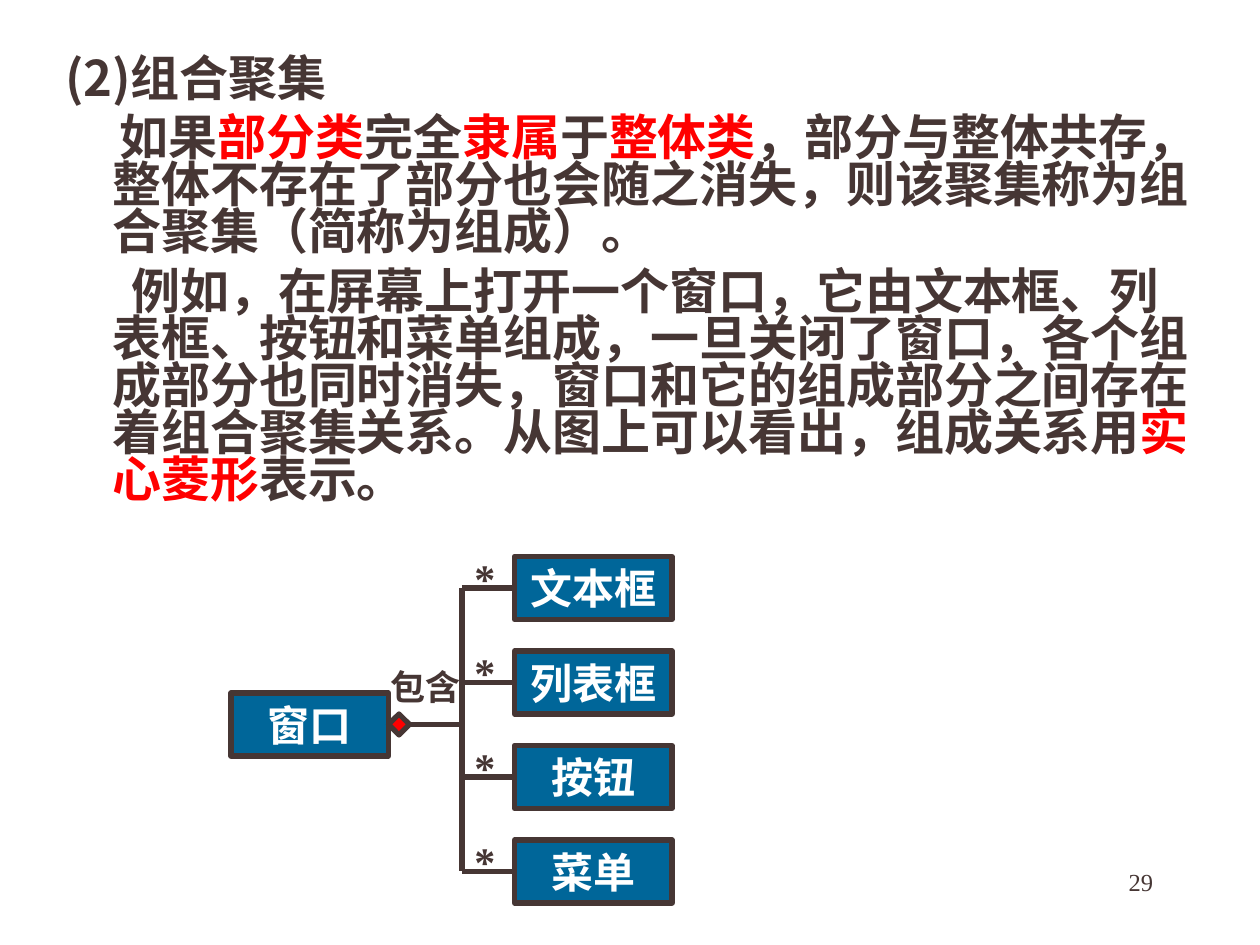
from lxml.etree import SubElement
from pptx import Presentation
from pptx.dml.color import RGBColor
from pptx.enum.shapes import MSO_CONNECTOR, MSO_SHAPE
from pptx.enum.text import MSO_ANCHOR, MSO_AUTO_SIZE, PP_ALIGN
from pptx.oxml.ns import qn
from pptx.util import Pt

EMU_PER_PX = 7620  # 120 px to the inch
INK = RGBColor(0x46, 0x36, 0x34)
RED = RGBColor(0xFF, 0x00, 0x00)
BLUE = RGBColor(0x00, 0x66, 0x99)
WHITE = RGBColor(0xFF, 0xFF, 0xFF)
CJK = "Noto Sans CJK SC"
SERIF = "Times New Roman"


def px(*lengths):
    return [length * EMU_PER_PX for length in lengths]


def write(paragraph, text, size=24, color=INK, bold=True, font=SERIF,
          align=None):
    """Add one formatted run to a paragraph."""
    if align is not None:
        paragraph.alignment = align
    run = paragraph.add_run()
    run.text = text
    run.font.size = Pt(size)
    run.font.bold = bold
    run.font.color.rgb = color
    run.font.name = font
    east_asian = SubElement(run.font._element, qn("a:ea"))
    east_asian.set("typeface", CJK)


class ClassDiagramSlide:
    def __init__(self, slide, ink=INK, line_width=3):
        self.slide = slide
        self.ink = ink
        self.line_width = Pt(line_width)

    def body(self, left, top, width, height, paragraphs):
        """Each paragraph is (first-line offset, [(text, color), ...])."""
        holder = self.slide.placeholders[1]
        holder.left, holder.top, holder.width, holder.height = px(
            left, top, width, height)
        frame = holder.text_frame
        frame.word_wrap = True
        frame.auto_size = MSO_AUTO_SIZE.NONE
        for number, (offset, runs) in enumerate(paragraphs):
            paragraph = frame.add_paragraph() if number else frame.paragraphs[0]
            paragraph.line_spacing = 0.8
            paragraph.space_before = Pt(7 if number else 0)
            margin, indent = px(45, offset)
            properties = paragraph._p.get_or_add_pPr()
            properties.set("marL", str(margin))
            properties.set("indent", str(indent))
            SubElement(properties, qn("a:buNone"))
            for text, color in runs:
                write(paragraph, text, size=28, color=color, font=CJK)

    def shape(self, kind, left, top, width, height, fill):
        shape = self.slide.shapes.add_shape(kind, *px(left, top, width, height))
        shape.shadow.inherit = False
        shape.fill.solid()
        shape.fill.fore_color.rgb = fill
        shape.line.color.rgb = self.ink
        shape.line.width = self.line_width
        return shape

    def class_box(self, left, top, name):
        box = self.shape(MSO_SHAPE.RECTANGLE, left, top, 150, 60, BLUE)
        frame = box.text_frame
        frame.word_wrap = False
        frame.vertical_anchor = MSO_ANCHOR.MIDDLE
        write(frame.paragraphs[0], name, color=WHITE, align=PP_ALIGN.CENTER)
        return box

    def line(self, x1, y1, x2, y2, begin=None, end=None):
        """begin and end are (shape, connection site) pairs."""
        line = self.slide.shapes.add_connector(
            MSO_CONNECTOR.STRAIGHT, *px(x1, y1, x2, y2))
        line.line.color.rgb = self.ink
        line.line.width = self.line_width
        SubElement(line._element.spPr, qn("a:effectLst"))
        if begin:
            line.begin_connect(*begin)
        if end:
            line.end_connect(*end)

    def label(self, left, top, width, height, text, **style):
        box = self.slide.shapes.add_textbox(*px(left, top, width, height))
        box.text_frame.word_wrap = True
        write(box.text_frame.paragraphs[0], text, **style)


def main():
    deck = Presentation()
    deck.slide_width, deck.slide_height = px(1200, 900)
    slide = deck.slides.add_slide(deck.slide_layouts[1])
    title = slide.shapes.title._element
    title.getparent().remove(title)
    diagram = ClassDiagramSlide(slide)

    # Explanation
    diagram.body(50, 50, 1110, 540, [
        (-45, [("(2)组合聚集", INK)]),
        (7, [("如果", INK), ("部分类", RED), ("完全", INK), ("隶属", RED),
             ("于", INK), ("整体类", RED),
             ("，部分与整体共存，整体不存在了部分也会随之消失，"
              "则该聚集称为组合聚集（简称为组成）。", INK)]),
        (18, [("例如，在屏幕上打开一个窗口，它由文本框、列表框、按钮和菜单组成，"
               "一旦关闭了窗口，各个组成部分也同时消失，"
               "窗口和它的组成部分之间存在着组合聚集关系。"
               "从图上可以看出，组成关系用", INK),
              ("实心菱形", RED), ("表示。", INK)]),
    ])

    # Whole class with its composition diamond
    trunk_x, whole_y = 440, 690
    diagram.class_box(220, whole_y - 30, "窗口")
    diamond = diagram.shape(MSO_SHAPE.FLOWCHART_DECISION,
                            370, whole_y - 10, 20, 20, RED)
    diagram.line(390, whole_y, trunk_x, whole_y, begin=(diamond, 3))
    diagram.label(360, 628, 100, 53, "包含", size=20)

    # Part classes, each on its own branch
    parts = ["文本框", "列表框", "按钮", "菜单"]
    first_y, step, part_x = 560, 90, 490
    for row, name in enumerate(parts):
        y = first_y + row * step
        part = diagram.class_box(part_x, y - 30, name)
        diagram.line(trunk_x, y, part_x, y, end=(part, 1))
        diagram.label(trunk_x, y - 40, 60, 60, "*")
    diagram.line(trunk_x, first_y, trunk_x, first_y + step * (len(parts) - 1))

    # Page number
    diagram.label(860, 820, 250, 60, "29", size=14, bold=False,
                  align=PP_ALIGN.RIGHT)

    deck.save("out.pptx")


if __name__ == "__main__":
    main()
